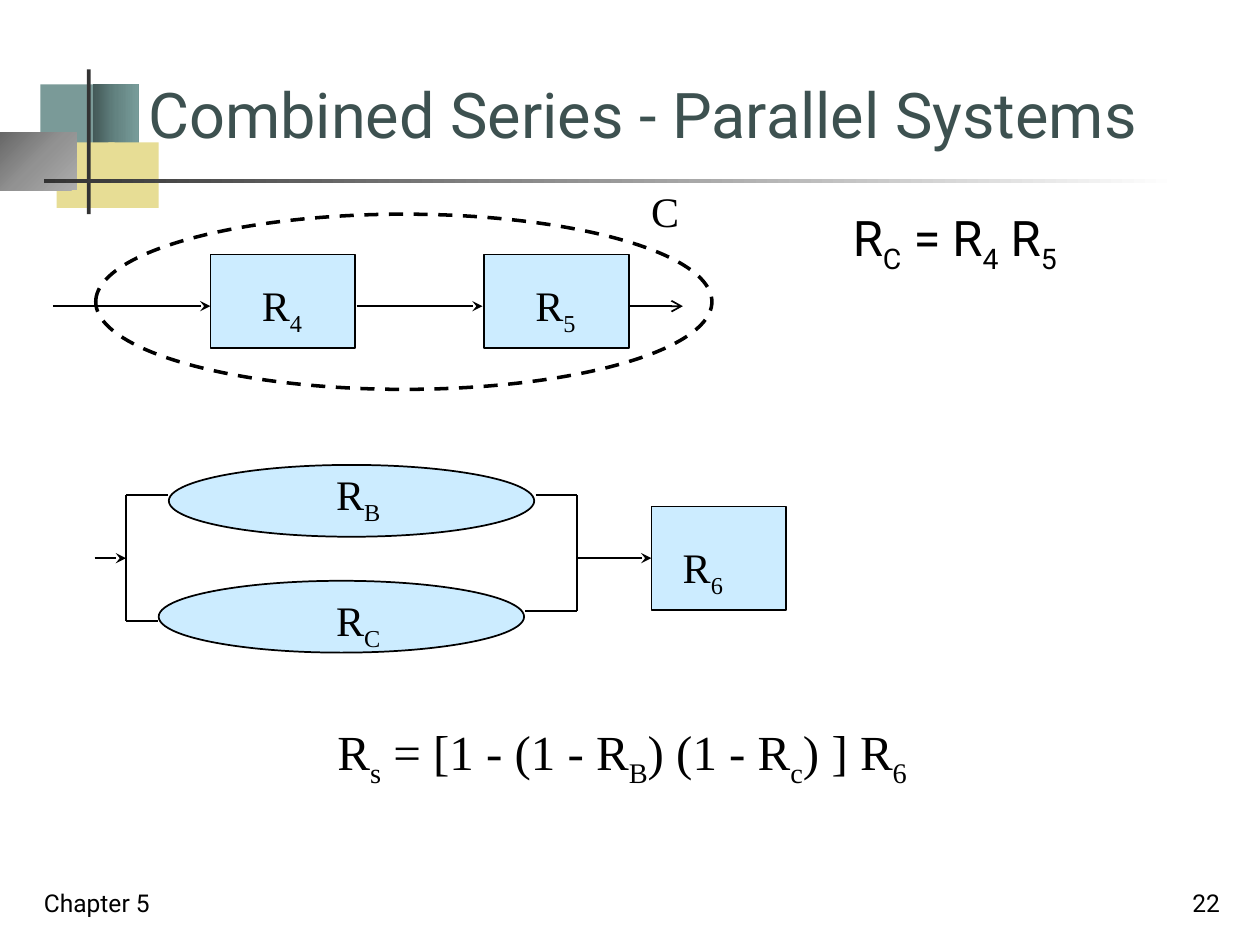
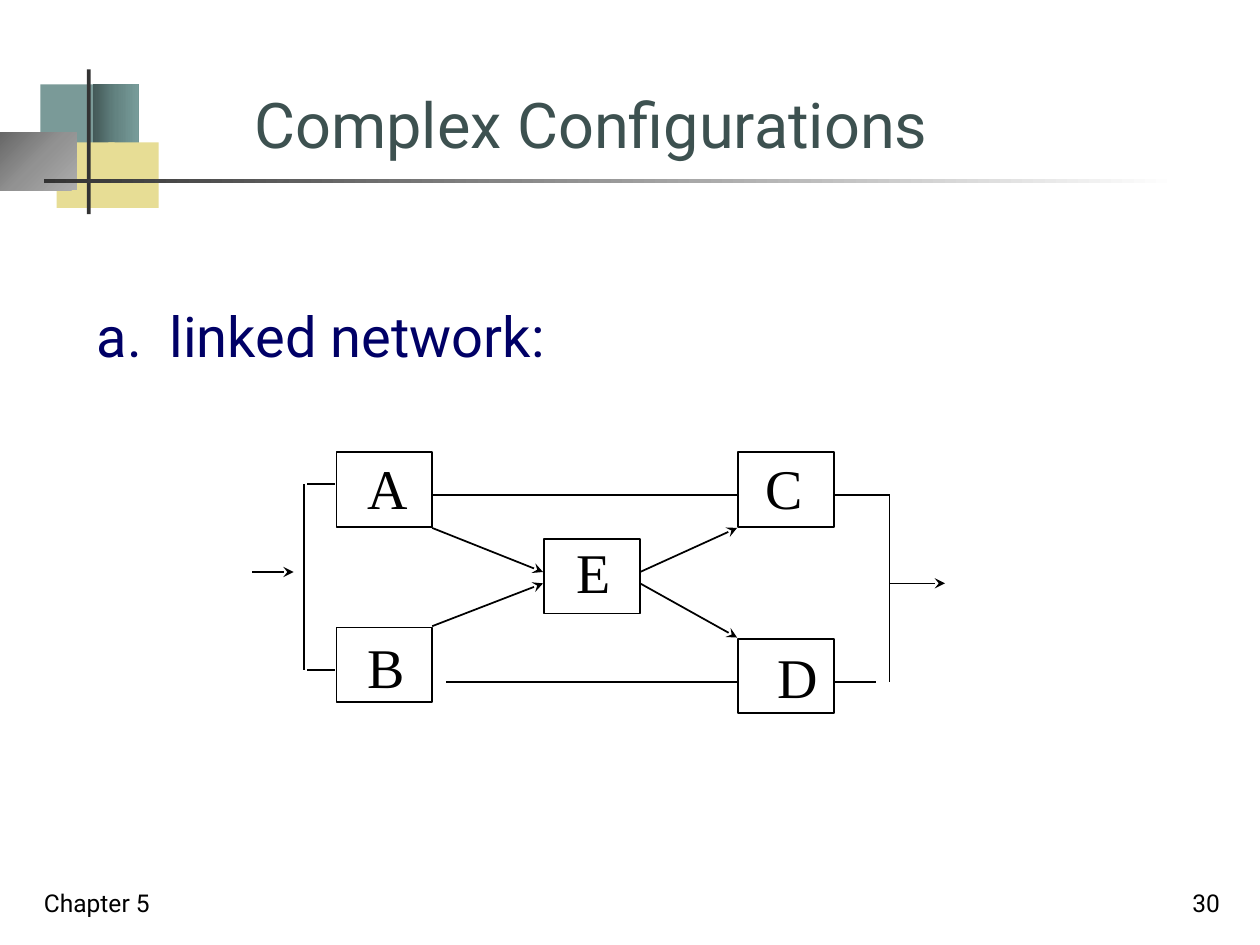
import pptx
import pptx.dml.color
import pptx.enum.dml
import pptx.enum.shapes
import pptx.enum.text
import pptx.oxml
import pptx.oxml.ns
import pptx.util
from lxml import etree

Inches = pptx.util.Inches
SHAPES = pptx.enum.shapes.MSO_SHAPE
ANCHOR = pptx.enum.text.MSO_ANCHOR
ALIGN = pptx.enum.text.PP_ALIGN

# Shared look
SANS, SERIF = "Roboto", "Times New Roman"
BLACK, TITLE, NAVY, BLOCK = "000000", "3D5150", "000066", "CCECFF"
FOOTER = "Chapter 5"
LINEAR = '<a:lin ang="0" scaled="1"/>'
RADIAL = '<a:path path="circle"><a:fillToRect r="100000" b="100000"/></a:path>'

# Corner ornament: left, top, width, height, fill (colour, or stops and direction)
ORNAMENT = [
    (0.32, 0.67, 0.48, 0.52, "7A9A98"),
    (0.74, 0.67, 0.36, 0.52, (["435958", "638381", "789C9A"], LINEAR)),
    (0.45, 1.13, 0.46, 0.52, "E7DD95"),
    (0.86, 1.13, 0.40, 0.52, "E7DD95"),
    (0, 1.05, 0.61, 0.46, (["676767", "929292", "ADADAD"], RADIAL)),
    (0.69, 0.55, 0.03, 1.15, "333333"),
    (0.35, 1.42, 9, 0.03, (["333333", "FFFFFF"], LINEAR)),
]

# In all texts, the parts between bars are subscripts.
# Combined systems: blocks, labels (text, left, top, width), links (x1, y1, x2, y2, arrowhead)
SERIES_BLOCKS = [(1.67, 2.02, 1.15, 0.74), (3.84, 2.02, 1.15, 0.74), (5.17, 4.02, 1.07, 0.82)]
PARALLEL_BLOCKS = [(1.26, 4.61, 2.9, 0.57), (1.34, 3.69, 2.9, 0.57)]
SUBSYSTEM_C = (0.76, 1.7, 4.89, 1.39)
SYSTEM_LABELS = [
    ("R|4|", 1.98, 2.17, 0.53), ("R|5|", 4.15, 2.17, 0.53), ("C", 5.07, 1.42, 0.42),
    ("R|6|", 5.32, 4.25, 0.62), ("R|B|", 2.57, 3.67, 0.57), ("R|C|", 2.57, 4.67, 0.57),
]
SYSTEM_LINKS = [
    (0.42, 2.43, 1.67, 2.43, "stealth"),
    (2.83, 2.43, 3.83, 2.43, "stealth"),
    (5, 2.43, 5.42, 2.43, "arrow"),
    (4.58, 3.93, 4.58, 4.85, None),
    (4.25, 3.93, 4.58, 3.93, None),
    (4.17, 4.85, 4.58, 4.85, None),
    (4.58, 4.43, 5.17, 4.43, "stealth"),
    (1, 3.93, 1, 4.93, None),
    (1, 3.93, 1.33, 3.93, None),
    (1, 4.93, 1.25, 4.93, None),
    (0.75, 4.43, 1, 4.43, "stealth"),
]

# Linked network: node -> (box left, box top), (label left, top, width)
NODE_SIZE = (0.76, 0.59)
NODES = {
    "A": ((2.67, 3.59), (2.82, 3.55, 0.52)),
    "B": ((2.67, 4.98), (2.82, 4.97, 0.50)),
    "C": ((5.86, 3.59), (5.98, 3.55, 0.50)),
    "D": ((5.86, 5.07), (6.07, 5.05, 0.52)),
    "E": ((4.32, 4.28), (4.48, 4.22, 0.47)),
}
NETWORK_LINKS = [
    (3.43, 3.93, 5.85, 3.93, None),
    (3.54, 5.41, 5.85, 5.41, None),
    (3.43, 4.19, 4.31, 4.54, "stealth"),
    (3.43, 4.97, 4.31, 4.63, "stealth"),
    (5.08, 4.54, 5.85, 4.19, "stealth"),
    (5.08, 4.63, 5.85, 5.06, "stealth"),
    (6.62, 3.93, 7.06, 3.93, None),
    (6.62, 5.41, 6.95, 5.41, None),
    (7.06, 3.93, 7.06, 5.41, None),
    (7.06, 4.63, 7.5, 4.63, "stealth"),
    (2.44, 3.84, 2.66, 3.84, None),
    (2.44, 5.32, 2.66, 5.32, None),
    (2.41, 3.84, 2.41, 5.32, None),
    (2, 4.54, 2.33, 4.54, "stealth"),
]


def color(hex_code):
    return pptx.dml.color.RGBColor.from_string(hex_code)


def fill_gradient(shape, stops, direction):
    """Spread the stops evenly and swap them in for the empty fill."""
    shape.fill.background()
    marks = "".join(
        f'<a:gs pos="{i * 100000 // (len(stops) - 1)}"><a:srgbClr val="{stop}"/></a:gs>'
        for i, stop in enumerate(stops))
    gradient = pptx.oxml.parse_xml(
        f'<a:gradFill {pptx.oxml.ns.nsdecls("a")} rotWithShape="1">'
        f"<a:gsLst>{marks}</a:gsLst>{direction}</a:gradFill>")
    properties = shape._element.spPr
    properties.replace(properties.find(pptx.oxml.ns.qn("a:noFill")), gradient)


def add_block(slide, kind, place, fill=None, line_width=None, dash=None):
    block = slide.shapes.add_shape(kind, *map(Inches, place))
    block.shadow.inherit = False
    if fill is None:
        block.fill.background()
    elif isinstance(fill, str):
        block.fill.solid()
        block.fill.fore_color.rgb = color(fill)
    else:
        fill_gradient(block, *fill)
    if line_width:
        block.line.color.rgb = color(BLACK)
        block.line.width = pptx.util.Pt(line_width)
        if dash:
            block.line.dash_style = dash
    else:
        block.line.fill.background()


def add_text(slide, text, place, size, font=SANS, ink=BLACK,
             anchor=ANCHOR.TOP, align=ALIGN.LEFT, wrap=True, hanging=False):
    frame = slide.shapes.add_textbox(*map(Inches, place)).text_frame
    frame.word_wrap = wrap
    frame.vertical_anchor = anchor
    paragraph = frame.paragraphs[0]
    paragraph.alignment = align
    if hanging:
        indent = paragraph._p.get_or_add_pPr()
        indent.set("marL", str(Inches(0.38)))
        indent.set("indent", str(Inches(-0.38)))
    for i, part in enumerate(text.split("|")):
        if not part:
            continue
        run = paragraph.add_run()
        run.text = part
        run.font.name = font
        run.font.size = pptx.util.Pt(size)
        run.font.color.rgb = color(ink)
        if i % 2:
            run._r.get_or_add_rPr().set("baseline", "-25000")


def add_link(slide, x1, y1, x2, y2, arrowhead):
    link = slide.shapes.add_connector(
        pptx.enum.shapes.MSO_CONNECTOR.STRAIGHT, *map(Inches, (x1, y1, x2, y2)))
    link.line.color.rgb = color(BLACK)
    link.line.width = pptx.util.Pt(1)
    qn = pptx.oxml.ns.qn
    properties = link._element.spPr
    if arrowhead:
        etree.SubElement(properties.find(qn("a:ln")), qn("a:tailEnd"), type=arrowhead)
    etree.SubElement(properties, qn("a:effectLst"))


def add_page(deck, title, title_place, number):
    """Start a slide with ornament, title and footers."""
    slide = deck.slides.add_slide(deck.slide_layouts[6])
    for *place, fill in ORNAMENT:
        add_block(slide, SHAPES.RECTANGLE, place, fill)
    add_text(slide, title, title_place, 36, ink=TITLE, anchor=ANCHOR.BOTTOM)
    for text, left, align in [(FOOTER, 0.25, ALIGN.LEFT), (str(number), 7.7, ALIGN.RIGHT)]:
        add_text(slide, text, (left, 6.83, 2.08, 0.5), 14, anchor=ANCHOR.BOTTOM, align=align)
    return slide


def build_combined_systems(deck):
    slide = add_page(deck, "Combined Series - Parallel Systems", (1.08, 0.51, 8.24, 0.74), 22)
    add_text(slide, "R|C| = R|4| R|5|", (6.67, 1.6, 2.07, 0.88), 28, hanging=True)
    for place in SERIES_BLOCKS:
        add_block(slide, SHAPES.RECTANGLE, place, BLOCK, 1)
    for place in PARALLEL_BLOCKS:
        add_block(slide, SHAPES.OVAL, place, BLOCK, 1)
    for link in SYSTEM_LINKS:
        add_link(slide, *link)
    add_block(slide, SHAPES.OVAL, SUBSYSTEM_C, None, 2, pptx.enum.dml.MSO_LINE.DASH)
    for text, left, top, width in SYSTEM_LABELS:
        add_text(slide, text, (left, top, width, 0.5), 24, SERIF, wrap=False)
    add_text(slide, "R|s| = [1 - (1 - R|B|) (1 - R|c|) ] R|6|", (2.58, 5.68, 5.1, 0.57), 28, SERIF)


def build_linked_network(deck):
    slide = add_page(deck, "Complex Configurations", (1.92, 0.5, 5.82, 0.83), 30)
    add_text(slide, "a.  linked network:", (0.67, 2.34, 8.49, 4.49), 32, ink=NAVY, hanging=True)
    for corner, _ in NODES.values():
        add_block(slide, SHAPES.RECTANGLE, corner + NODE_SIZE, None, 1)
    for link in NETWORK_LINKS:
        add_link(slide, *link)
    for node, (_, label_place) in NODES.items():
        add_text(slide, node, label_place + (0.63,), 32, SERIF, wrap=False)


def main():
    deck = pptx.Presentation()
    deck.slide_width, deck.slide_height = Inches(10), Inches(7.5)
    build_combined_systems(deck)
    build_linked_network(deck)
    deck.save("out.pptx")


if __name__ == "__main__":
    main()
